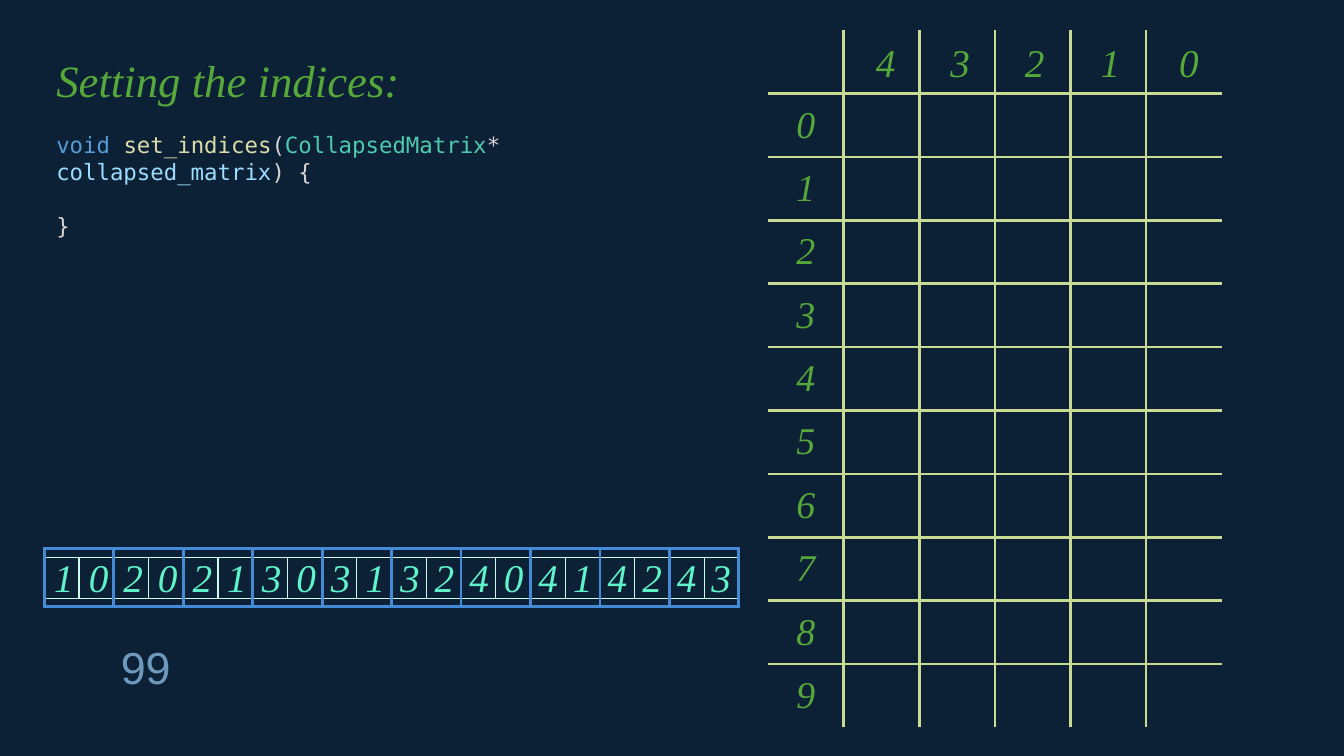
from lxml.etree import SubElement
from pptx import Presentation
from pptx.dml.color import RGBColor
from pptx.enum.text import MSO_ANCHOR, PP_ALIGN
from pptx.oxml.ns import qn
from pptx.util import Inches, Pt

# Content
TITLE = "Setting the indices:"
PAGE_NUMBER = "99"
CODE = [
    [("void ", "569CD6"), ("set_indices", "DCDCAA"), ("(", "D4D4D4"),
     ("CollapsedMatrix", "4EC9B0"), ("* ", "D4D4D4"),
     ("collapsed_matrix", "9CDCFE"), (") {", "D4D4D4")],
    [("}", "D4D4D4")],
]
ROW_LABELS = "0123456789"
COLUMN_LABELS = [("0", 11.6), ("1", 10.82), ("2", 10.07), ("3", 9.33), ("4", 8.59)]
INDEX_PAIRS = ["10", "20", "21", "30", "31", "32", "40", "41", "42", "43"]

SERIF, SANS, MONO = "Times New Roman", "Arial", "DejaVu Sans Mono"
GREEN, MINT, PALE_MINT = "55A839", "5FF3CA", "CAFBED"
LIME, BLUE, STEEL, NAVY = "C9DA92", "448AD7", "6E99BD", "0C2036"

# Layout, in inches
MATRIX_LEFT, MATRIX_TOP, MATRIX_WIDTH, MATRIX_HEIGHT = 7.62, 0.3, 4.5, 6.92
STRIP_LEFT, STRIP_TOP, STRIP_WIDTH = 0.44, 5.44, 6.89
LAST_DIGIT_LEFT = 6.96
DIGIT_WIDTH, DIGIT_HEIGHT = 0.33, 0.57


def color(value):
    return RGBColor.from_string(value)


def style(font, size, face, value, italic=False):
    font.size, font.name, font.italic = Pt(size), face, italic
    font.color.rgb = color(value)


def add_box(left, top, width, height):
    frame = slide.shapes.add_textbox(
        Inches(left), Inches(top), Inches(width), Inches(height)).text_frame
    frame.word_wrap = True
    return frame


def add_label(text, left, top, width, height, size, face, value,
              italic=True, align=PP_ALIGN.LEFT):
    frame = add_box(left, top, width, height)
    frame.text = text
    frame.paragraphs[0].alignment = align
    style(frame.paragraphs[0].runs[0].font, size, face, value, italic)


def add_digit(digit, left, top, value):
    add_label(digit, left, top, DIGIT_WIDTH, DIGIT_HEIGHT, 28, SERIF, value,
              align=PP_ALIGN.CENTER)


def add_border(cell, side, value, width):
    line = SubElement(cell._tc.get_or_add_tcPr(), qn(f"a:ln{side}"), w=str(Pt(width)))
    if value:
        fill = SubElement(line, qn("a:solidFill"))
        SubElement(fill, qn("a:srgbClr"), val=value)
    else:
        SubElement(line, qn("a:noFill"))


def add_grid(rows, columns, left, top, width, height, value, line_width, framed=True):
    table = slide.shapes.add_table(
        rows, columns, Inches(left), Inches(top), Inches(width), Inches(height)).table
    table.first_row = table.horz_banding = False
    for column in table.columns:
        column.width = Inches(width / columns)
    for row in table.rows:
        row.height = Inches(height / rows)
    for r in range(rows):
        for c in range(columns):
            cell = table.cell(r, c)
            cell.margin_left = cell.margin_right = Inches(0.07)
            cell.margin_top = cell.margin_bottom = Inches(0.04)
            inner = {"L": c > 0, "R": c < columns - 1, "T": r > 0, "B": r < rows - 1}
            for side, is_inner in inner.items():
                add_border(cell, side, value if framed or is_inner else None, line_width)
            cell.fill.background()
    return table


prs = Presentation()
prs.slide_width, prs.slide_height = Inches(7.5 * 16 / 9), Inches(7.5)
slide = prs.slides.add_slide(prs.slide_layouts[6])
slide.background.fill.solid()
slide.background.fill.fore_color.rgb = color(NAVY)

# Title and page number
add_label(TITLE, 0.46, 0.47, 6.78, 0.64, 32, SERIF, GREEN)
add_label(PAGE_NUMBER, 1.1, 6.3, 0.77, 0.64, 32, SANS, STEEL, italic=False)

# Code
code = add_box(0.46, 1.25, 6.78, 0.91)
for number, tokens in enumerate(CODE):
    code_line = code.add_paragraph() if number else code.paragraphs[0]
    if number:
        code_line.space_before = Pt(19.5)
    for token, token_color in tokens:
        run = code_line.add_run()
        run.text = token
        style(run.font, 16, MONO, token_color)

# Matrix with row and column labels
matrix = add_grid(len(ROW_LABELS) + 1, len(COLUMN_LABELS) + 1, MATRIX_LEFT, MATRIX_TOP,
                  MATRIX_WIDTH, MATRIX_HEIGHT, LIME, 2.25, framed=False)
for r, label in enumerate(ROW_LABELS, start=1):
    cell = matrix.cell(r, 0)
    cell.text_frame.text = label
    cell.vertical_anchor = MSO_ANCHOR.MIDDLE
    label_line = cell.text_frame.paragraphs[0]
    label_line.alignment = PP_ALIGN.CENTER
    style(label_line.runs[0].font, 27, SERIF, GREEN, italic=True)
for label, left in COLUMN_LABELS:
    add_digit(label, left, 0.33, GREEN)

# Strip of index pairs: digits, thin cells, then a thick frame around each pair
digit_count = 2 * len(INDEX_PAIRS)
digit_step = (LAST_DIGIT_LEFT - STRIP_LEFT) / (digit_count - 1)
for pair, (first, second) in enumerate(INDEX_PAIRS):
    left = STRIP_LEFT + 2 * pair * digit_step
    add_digit(second, left + digit_step, STRIP_TOP, MINT)
    add_digit(first, left, STRIP_TOP, MINT)
add_grid(1, digit_count, STRIP_LEFT, 5.53, STRIP_WIDTH, 0.41, PALE_MINT, 1)
add_grid(1, len(INDEX_PAIRS), STRIP_LEFT, STRIP_TOP, STRIP_WIDTH, 0.58, BLUE, 2.25)

prs.save("out.pptx")
